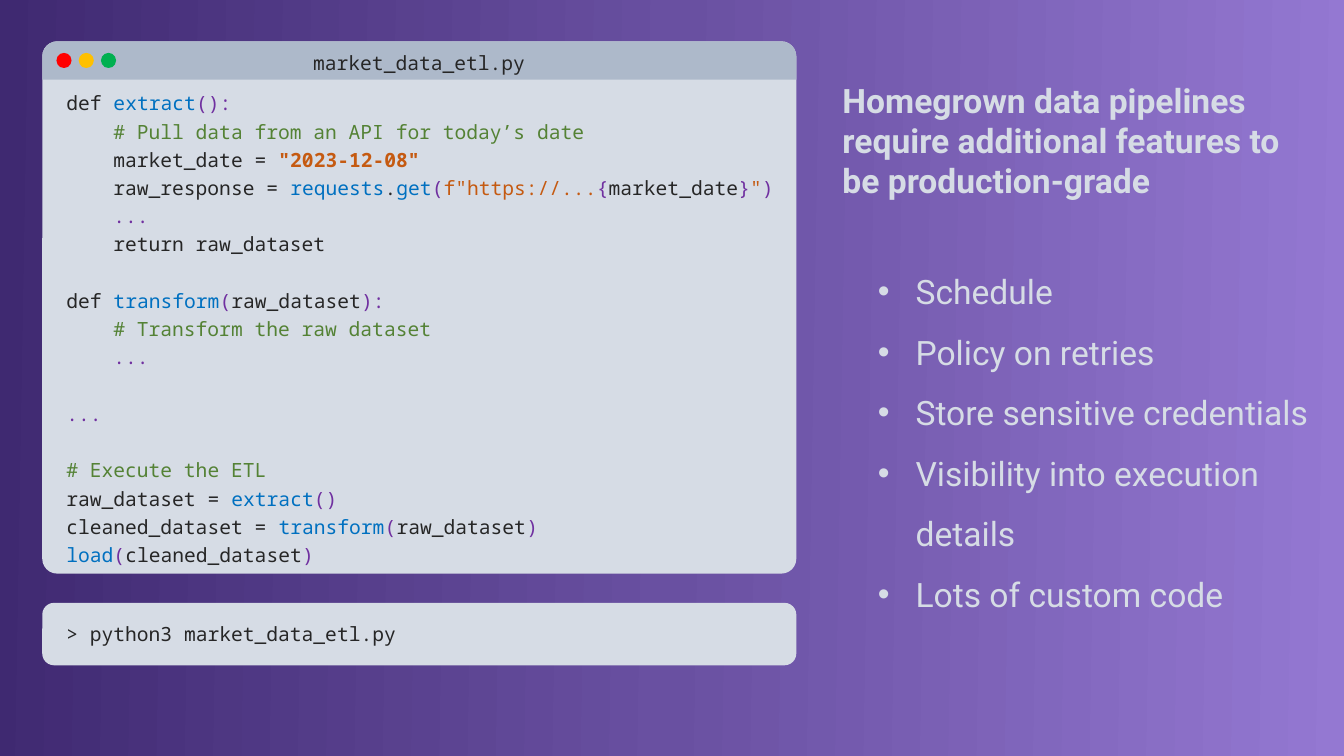
from copy import deepcopy

from lxml.etree import SubElement
from pptx import Presentation
from pptx.dml.color import RGBColor
from pptx.enum.shapes import MSO_SHAPE
from pptx.enum.text import MSO_ANCHOR, MSO_AUTO_SIZE, PP_ALIGN
from pptx.oxml.ns import qn
from pptx.util import Pt

CODE_FONT, TEXT_FONT = "Noto Sans Mono", "Roboto"
CODE_SIZE, TEXT_SIZE = 14, 24
INK, PALE, BAR = "262626", "D6DCE5", "ADB9CA"
NAME, MARK, NOTE, TEXT = "0070C0", "7030A0", "548235", "C55A11"
TAB = 33.6  # four code characters
BLANK_LINE = 20.2

FRAME_LEFT, FRAME_TOP, FRAME_WIDTH = 30.2, 29.5, 538.6
CODE_LEFT = 40.3

# Each line of code: indent in tabs, blank lines before it, coloured spans
CODE = [
    (0, 0, [("def ", INK), ("extract", NAME), ("():", MARK)]),
    (1, 0, [("# Pull data from an API for today’s date", NOTE)]),
    (1, 0, [("market_date = ", INK), ('"2023-12-08"', TEXT, True)]),
    (1, 0, [("raw_response = ", INK), ("requests", NAME), (".", INK), ("get", NAME),
            ("(", MARK), ('f"https://...', TEXT), ("{", MARK), ("market_date", INK),
            ("}", MARK), ('"', TEXT), (")", MARK)]),
    (1, 0, [("...", MARK)]),
    (1, 0, [("return raw_dataset", INK)]),
    (0, 1, [("def ", INK), ("transform", NAME), ("(", MARK), ("raw_dataset", INK),
            ("):", MARK)]),
    (1, 0, [("# Transform the raw dataset", NOTE)]),
    (1, 0, [("...", MARK)]),
    (0, 1, [("...", MARK)]),
    (0, 1, [("# Execute the ETL", NOTE)]),
    (0, 0, [("raw_dataset = ", INK), ("extract", NAME), ("()", MARK)]),
    (0, 0, [("cleaned_dataset = ", INK), ("transform", NAME), ("(", MARK),
            ("raw_dataset", INK), (")", MARK)]),
    (0, 0, [("load", NAME), ("(", MARK), ("cleaned_dataset", INK), (")", MARK)]),
]
FEATURES = ["Schedule", "Policy on retries", "Store sensitive credentials",
            "Visibility into execution details", "Lots of custom code"]


def color(hex_code):
    """Turn a hex string into a colour."""
    return RGBColor.from_string(hex_code)


def paint_background(page, stops, angle):
    """Fill the page with a linear gradient of (position, colour) stops."""
    fill = page.background.fill
    fill.gradient()
    fill.gradient_angle = angle
    stop_list = page.element.find(".//" + qn("a:gsLst"))
    while len(stop_list) < len(stops):
        stop_list.append(deepcopy(stop_list[0]))
    for stop, (position, hex_code) in zip(fill.gradient_stops, stops):
        stop.position = position
        stop.color.rgb = color(hex_code)


def add_panel(page, kind, place, hex_code, corners=()):
    """Add a flat shape without outline; place is left, top, width, height."""
    shape = page.shapes.add_shape(kind, *map(Pt, place))
    shape.shadow.inherit = False
    shape.fill.solid()
    shape.fill.fore_color.rgb = color(hex_code)
    shape.line.fill.background()
    for index, corner in enumerate(corners):
        shape.adjustments[index] = corner
    return shape


def add_text_box(page, place):
    """Add a wrapping text box and return its text frame."""
    frame = page.shapes.add_textbox(*map(Pt, place)).text_frame
    frame.word_wrap = True
    frame.auto_size = MSO_AUTO_SIZE.SHAPE_TO_FIT_TEXT
    return frame


def next_para(frame, index):
    """Return the first paragraph for index 0, else a new one."""
    return frame.add_paragraph() if index else frame.paragraphs[0]


def set_font(para, name, size, hex_code=None, bold=None):
    """Style a whole paragraph."""
    para.font.name, para.font.size, para.font.bold = name, Pt(size), bold
    if hex_code:
        para.font.color.rgb = color(hex_code)


def write(frame, text, *style):
    """Write one evenly styled paragraph into a frame."""
    para = frame.paragraphs[0]
    para.text = text
    set_font(para, *style)
    return para


def indent(para, left, first=0):
    """Set the left margin and first-line indent of a paragraph."""
    properties = para._p.get_or_add_pPr()
    properties.set("marL", str(Pt(left)))
    properties.set("indent", str(Pt(first)))
    return properties


def add_code(page, place):
    """Add the coloured code listing."""
    frame = add_text_box(page, place)
    for index, (tabs, blanks, spans) in enumerate(CODE):
        para = next_para(frame, index)
        para.line_spacing = 1.2
        para.space_before = Pt(blanks * BLANK_LINE)
        indent(para, tabs * TAB)
        set_font(para, CODE_FONT, CODE_SIZE)
        for text, hex_code, *bold in spans:
            span = para.add_run()
            span.text = text
            span.font.color.rgb = color(hex_code)
            if bold:
                span.font.bold = True


def add_bullets(page, place, items):
    """Add a bulleted list."""
    frame = add_text_box(page, place)
    for index, item in enumerate(items):
        para = next_para(frame, index)
        para.text = item
        para.line_spacing = 1.5
        properties = indent(para, 27, -27)
        SubElement(properties, qn("a:buFont"), typeface="Arial")
        SubElement(properties, qn("a:buChar"), char="•")
        set_font(para, TEXT_FONT, TEXT_SIZE, PALE)


def add_editor(page):
    """Add the editor window with its title bar, buttons and code."""
    add_panel(page, MSO_SHAPE.ROUNDED_RECTANGLE,
              (FRAME_LEFT, FRAME_TOP, FRAME_WIDTH, 380.2), PALE, [0.028])
    bar = add_panel(page, MSO_SHAPE.ROUND_2_SAME_RECTANGLE,
                    (FRAME_LEFT, FRAME_TOP, FRAME_WIDTH, 27.4), BAR, [0.392, 0])
    bar.text_frame.vertical_anchor = MSO_ANCHOR.MIDDLE
    title = write(bar.text_frame, "market_data_etl.py", CODE_FONT, CODE_SIZE, INK)
    title.alignment = PP_ALIGN.CENTER
    for index, hex_code in enumerate(["FF0000", "FFC000", "00B050"]):
        add_panel(page, MSO_SHAPE.OVAL,
                  (CODE_LEFT + 15.9 * index, 37.8, 10.8, 10.8), hex_code)
    add_code(page, (CODE_LEFT, 58.3, 527.8, 351.4))


def add_terminal(page):
    """Add the terminal panel with its command."""
    add_panel(page, MSO_SHAPE.ROUNDED_RECTANGLE,
              (FRAME_LEFT, 430.6, FRAME_WIDTH, 44.6), PALE, [0.188])
    write(add_text_box(page, (CODE_LEFT, 440.6, 447.8, 24.5)),
          "> python3 market_data_etl.py", CODE_FONT, CODE_SIZE, INK)


def main():
    """Build and save the slide."""
    deck = Presentation()
    deck.slide_width, deck.slide_height = Pt(960), Pt(540)
    page = deck.slides.add_slide(deck.slide_layouts[6])
    paint_background(page, [(0, "3F2971"), (0.5, "6950A1"), (1, "9478D2")], 359)
    add_editor(page)
    add_terminal(page)
    write(add_text_box(page, (594.7, 53.3, 335.5, 94.3)),
          "Homegrown data pipelines require additional features to be production-grade",
          TEXT_FONT, TEXT_SIZE, PALE, True)
    add_bullets(page, (619.9, 175.7, 325.4, 265), FEATURES)
    deck.save("out.pptx")


main()
